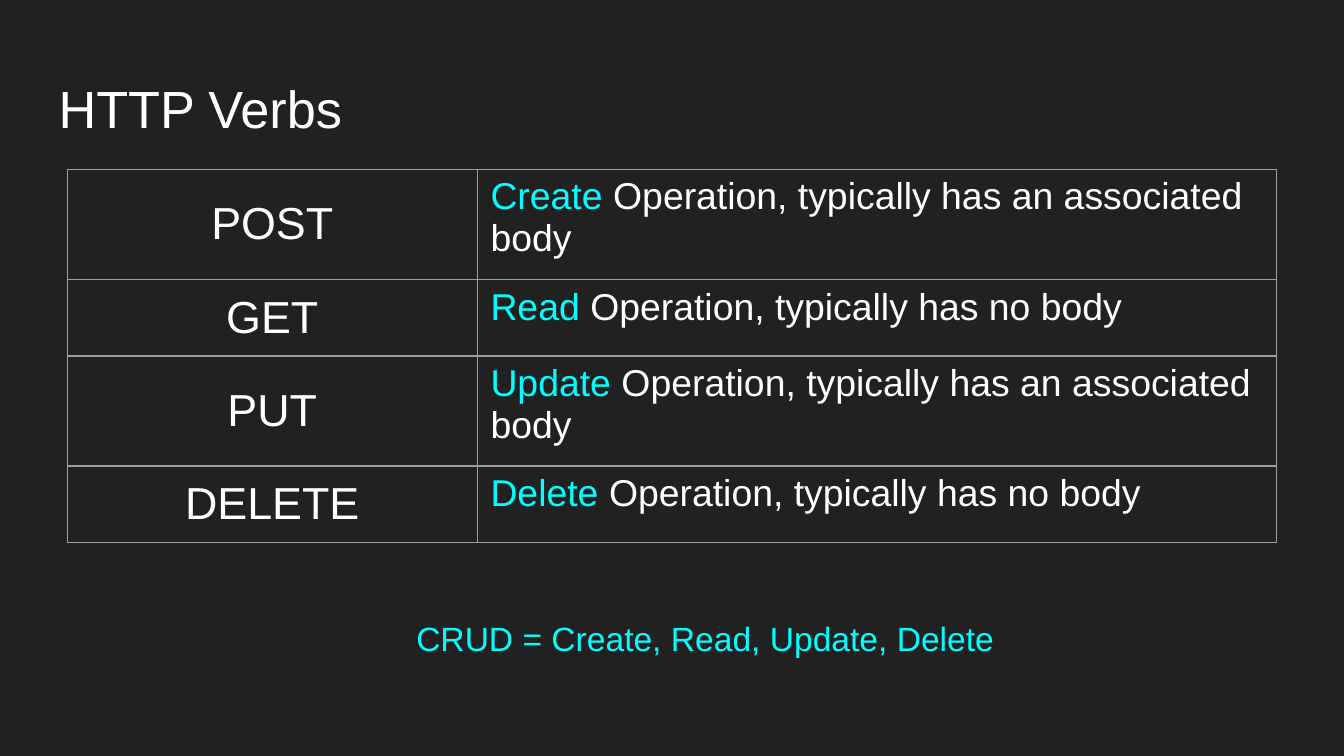
from dataclasses import dataclass

from lxml import etree
from pptx import Presentation
from pptx import util as u
from pptx.dml.color import RGBColor
from pptx.enum import text
from pptx.oxml import ns
from pptx.slide import Slide
from pptx.table import _Cell
from pptx.text.text import _Paragraph

BACKGROUND = RGBColor(0x21, 0x21, 0x21)
WHITE = RGBColor(0xFF, 0xFF, 0xFF)
CYAN = RGBColor(0x00, 0xFF, 0xFF)
BORDER = RGBColor(0x9E, 0x9E, 0x9E)
FONT = "Arial"
INSET = u.Cm(0.25)
COLUMN_WIDTHS = (7.75, 15.11)
TALL_ROW, SHORT_ROW = 2.08, 1.45


@dataclass(frozen=True)
class Verb:
    name: str
    operation: str
    body: str
    height: float


@dataclass(frozen=True)
class Label:
    wording: str
    left: float
    top: float
    width: float
    height: float
    size: int
    color: RGBColor
    alignment: text.PP_ALIGN


VERBS = (
    Verb("POST", "Create", "an associated body", TALL_ROW),
    Verb("GET", "Read", "no body", SHORT_ROW),
    Verb("PUT", "Update", "an associated body", TALL_ROW),
    Verb("DELETE", "Delete", "no body", SHORT_ROW),
)

LABELS = (
    Label("HTTP Verbs", 0.86, 1.24, 23.67, 1.6, 28, WHITE, text.PP_ALIGN.LEFT),
    Label("CRUD = Create, Read, Update, Delete", 2.13, 11.43, 22.4, 1.27,
          18, CYAN, text.PP_ALIGN.CENTER),
)


def format_runs(paragraph: _Paragraph, size: int, *colors: RGBColor) -> None:
    for run, color in zip(paragraph.runs, colors):
        run.font.name = FONT
        run.font.size = u.Pt(size)
        run.font.color.rgb = color


def add_label(slide: Slide, label: Label) -> None:
    shape = slide.shapes.add_textbox(
        u.Cm(label.left), u.Cm(label.top), u.Cm(label.width), u.Cm(label.height))
    frame = shape.text_frame
    frame.word_wrap = True
    frame.vertical_anchor = text.MSO_ANCHOR.MIDDLE
    frame.margin_left = frame.margin_right = INSET
    frame.text = label.wording
    paragraph = frame.paragraphs[0]
    paragraph.alignment = label.alignment
    format_runs(paragraph, label.size, label.color)


def style_cell(cell: _Cell) -> None:
    cell.fill.background()
    cell.margin_left = cell.margin_right = INSET
    cell.margin_top = cell.margin_bottom = u.Cm(0.13)
    properties = cell._tc.get_or_add_tcPr()
    for position, side in enumerate(("lnL", "lnR", "lnT", "lnB")):
        line = etree.Element(ns.qn(f"a:{side}"), w=str(u.Pt(0.75)))
        fill = etree.SubElement(line, ns.qn("a:solidFill"))
        etree.SubElement(fill, ns.qn("a:srgbClr"), val=str(BORDER))
        properties.insert(position, line)


def add_verb_table(slide: Slide) -> None:
    table = slide.shapes.add_table(
        len(VERBS), len(COLUMN_WIDTHS), u.Cm(1.27), u.Cm(3.2),
        u.Cm(sum(COLUMN_WIDTHS)), u.Cm(sum(verb.height for verb in VERBS))).table
    table.first_row = table.horz_banding = False
    for column, width in zip(table.columns, COLUMN_WIDTHS):
        column.width = u.Cm(width)
    for row, verb in zip(table.rows, VERBS):
        row.height = u.Cm(verb.height)
        name_cell, description_cell = row.cells
        style_cell(name_cell)
        style_cell(description_cell)

        name_cell.vertical_anchor = text.MSO_ANCHOR.MIDDLE
        name_cell.text_frame.text = verb.name
        paragraph = name_cell.text_frame.paragraphs[0]
        paragraph.alignment = text.PP_ALIGN.CENTER
        format_runs(paragraph, 24, WHITE)

        paragraph = description_cell.text_frame.paragraphs[0]
        paragraph.add_run().text = verb.operation
        paragraph.add_run().text = f" Operation, typically has {verb.body}"
        format_runs(paragraph, 20, CYAN, WHITE)


def main() -> None:
    presentation = Presentation()
    presentation.slide_width = u.Cm(25.4)
    presentation.slide_height = u.Cm(14.29)
    slide = presentation.slides.add_slide(presentation.slide_layouts[6])
    slide.background.fill.solid()
    slide.background.fill.fore_color.rgb = BACKGROUND
    for label in LABELS:
        add_label(slide, label)
    add_verb_table(slide)
    presentation.save("out.pptx")


if __name__ == "__main__":
    main()
